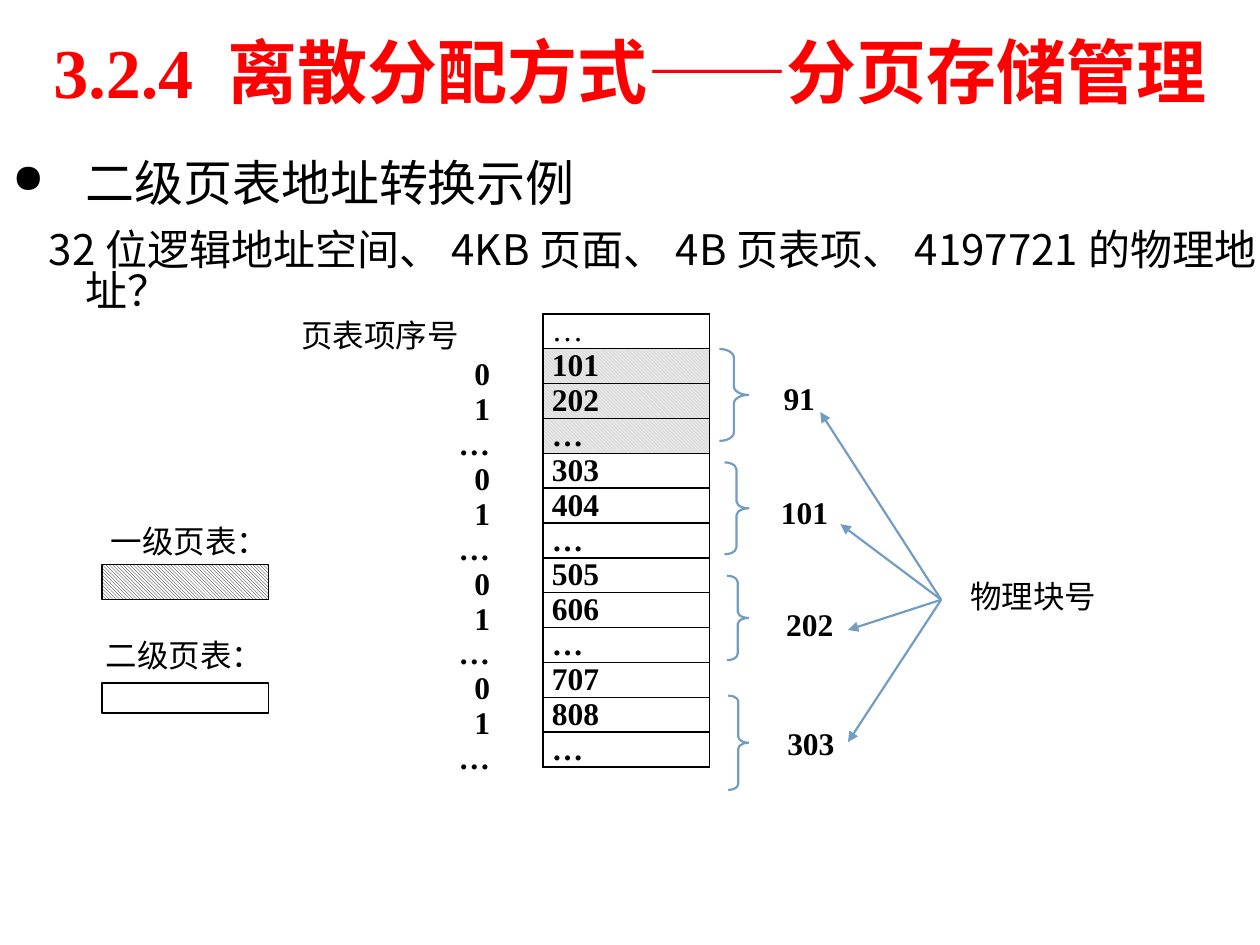
"""Build a slide showing address translation with a two-level page table."""
from lxml import etree
from pptx import Presentation
from pptx.dml.color import RGBColor
from pptx.enum.dml import MSO_PATTERN
from pptx.enum.shapes import MSO_CONNECTOR, MSO_SHAPE
from pptx.enum.text import MSO_ANCHOR, PP_ALIGN
from pptx.oxml import parse_xml
from pptx.oxml.ns import nsdecls, qn
from pptx.util import Inches, Pt

BLACK = RGBColor(0x00, 0x00, 0x00)
WHITE = RGBColor(0xFF, 0xFF, 0xFF)
RED = RGBColor(0xFE, 0x00, 0x00)
BLUE = RGBColor(0x73, 0x9C, 0xC3)
GREY = RGBColor(0xDD, 0xDD, 0xDD)
RECT, BRACE = MSO_SHAPE.RECTANGLE, MSO_SHAPE.RIGHT_BRACE
HATCH = MSO_PATTERN.LIGHT_DOWNWARD_DIAGONAL
STRAIGHT = MSO_CONNECTOR.STRAIGHT
TOP, MIDDLE = MSO_ANCHOR.TOP, MSO_ANCHOR.MIDDLE
LEFT, CENTER, RIGHT = PP_ALIGN.LEFT, PP_ALIGN.CENTER, PP_ALIGN.RIGHT
SERIF, SANS = "Times New Roman", "Noto Sans CJK SC"

prs = Presentation()
prs.slide_width, prs.slide_height = Inches(10), Inches(7.5)
s = prs.slides.add_slide(prs.slide_layouts[6])
U = prs.slide_width // 100


def grid(*cells):
    return [int(c * U) for c in cells]


def write(p, text, size=18, bold=False, color=BLACK, font=SERIF):
    r = p.add_run()
    r.text = text
    r.font.size, r.font.bold, r.font.name = Pt(size), bold, font
    r.font.color.rgb = color
    etree.SubElement(r.font._element, qn("a:ea")).set("typeface", SANS)


tf = s.shapes.add_textbox(*grid(0, 0.5, 100, 10.2)).text_frame
tf.word_wrap, tf.vertical_anchor = True, MIDDLE
tf.paragraphs[0].alignment = CENTER
write(tf.paragraphs[0], "3.2.4 离散分配方式——分页存储管理", 40, True, RED)

tf = s.shapes.add_textbox(*grid(0, 12.4, 101.8, 55.8)).text_frame
tf.word_wrap = True
body = [
    ("二级页表地址转换示例", 28, SERIF, -5.8, "●"),
    ("32位逻辑地址空间、4KB页面、4B页表项、4197721的物理地址？", 24, SANS, -2.9, None),
]
for i, (text, size, font, indent, bullet) in enumerate(body):
    p = tf.add_paragraph() if i else tf.paragraphs[0]
    p.line_spacing = 0.82
    p.space_before, p.space_after = Pt(0.4 * size if i else 0), Pt(0.1 * size)
    pPr = p._p.get_or_add_pPr()
    pPr.set("marL", str(int(5.8 * U)))
    pPr.set("indent", str(int(indent * U)))
    if bullet:
        etree.SubElement(pPr, qn("a:buSzPct")).set("val", "82000")
        etree.SubElement(pPr, qn("a:buChar")).set("char", bullet)
    else:
        etree.SubElement(pPr, qn("a:buNone"))
    write(p, text, size, font=font)

entries = ["…"]
for first in (101, 303, 505, 707):
    entries += [str(first), str(first + 101), "…"]
indexes = ["页表项序号"] + ["0", "1", "…"] * 4
ROW = 2.77
tables = [
    (43.1, 24.9, 13.2, ROW, entries, True),
    (23.2, 24.7, 17.7, 3.7, indexes, False),
]
for x, y, w, head, texts, bordered in tables:
    height = head + ROW * (len(texts) - 1)
    table = s.shapes.add_table(len(texts), 1, *grid(x, y, w, height)).table
    table.first_row = table.horz_banding = False
    for i, text in enumerate(texts):
        table.rows[i].height = int((ROW if i else head) * U)
        cell = table.cell(i, 0)
        cell.margin_top = cell.margin_bottom = 0
        cell.margin_left, cell.margin_right = grid(0.7, 0.7 if bordered or not i else 2)
        p = cell.text_frame.paragraphs[0]
        p.alignment = LEFT if bordered or not i else RIGHT
        if bordered or i:
            p.line_spacing = Pt(19.9)
        write(p, text, bold=i > 0)
        if bordered:
            for side in ("lnL", "lnR", "lnT", "lnB"):
                cell._tc.get_or_add_tcPr().append(parse_xml(
                    f'<a:{side} {nsdecls("a")} w="12700"><a:solidFill>'
                    f'<a:srgbClr val="{BLACK}"/></a:solidFill></a:{side}>'))
        if bordered and 1 <= i <= 3:
            cell.fill.patterned()
            cell.fill.pattern = HATCH
            cell.fill.fore_color.rgb, cell.fill.back_color.rgb = WHITE, GREY
        else:
            cell.fill.background()

labels = [
    ("二级页表：", 7.4, 50, 15.8, 3.9, False),
    ("一级页表：", 7.8, 40.9, 16.5, 3.1, False),
    ("物理块号", 76, 45.3, 14.8, 4, False),
    ("91", 61.2, 29.6, 9.8, 4, True),
    ("101", 61, 38.6, 9.3, 4.1, True),
    ("202", 61.4, 47.5, 6.1, 3.6, True),
    ("303", 61.5, 57, 6.6, 4.7, True),
]
for text, x, y, w, h, bold in labels:
    sp = s.shapes.add_shape(RECT, *grid(x, y, w, h))
    sp.shadow.inherit = False
    sp.fill.solid()
    sp.fill.fore_color.rgb = sp.line.color.rgb = WHITE
    sp.line.width = Pt(0.75)
    tf = sp.text_frame
    tf.word_wrap, tf.vertical_anchor = True, TOP
    tf.paragraphs[0].alignment = LEFT
    write(tf.paragraphs[0], text, bold=bold)

for y, h, color in ((44.8, 2.8, BLACK), (54.2, 2.4, WHITE)):
    sp = s.shapes.add_shape(RECT, *grid(8.1, y, 13.2, h))
    sp.shadow.inherit = False
    sp.fill.patterned()
    sp.fill.pattern = HATCH
    sp.fill.fore_color.rgb, sp.fill.back_color.rgb = color, WHITE
    sp.line.color.rgb, sp.line.width = BLACK, Pt(0.75)

brace_right = 59.4
for y, w, h in ((27.7, 2.3, 7.3), (36.7, 1.9, 7.3), (45.7, 1.7, 6.7), (55.2, 1.6, 7.5)):
    sp = s.shapes.add_shape(BRACE, *grid(brace_right - w, y, w, h))
    sp.shadow.inherit = False
    sp.adjustments[0], sp.adjustments[1] = 0.295, 0.5
    sp.fill.background()
    sp.line.color.rgb, sp.line.width = BLUE, Pt(1.25)

for x, y in ((65.1, 32.7), (66.7, 41.6), (67.3, 50), (67.3, 58.9)):
    arrow = s.shapes.add_connector(STRAIGHT, *grid(74.7, 47.6, x, y))
    arrow.line.color.rgb, arrow.line.width = BLUE, Pt(1.25)
    etree.SubElement(arrow.line._get_or_add_ln(), qn("a:tailEnd")).set("type", "triangle")
    etree.SubElement(arrow._element.spPr, qn("a:effectLst"))

prs.save("out.pptx")
